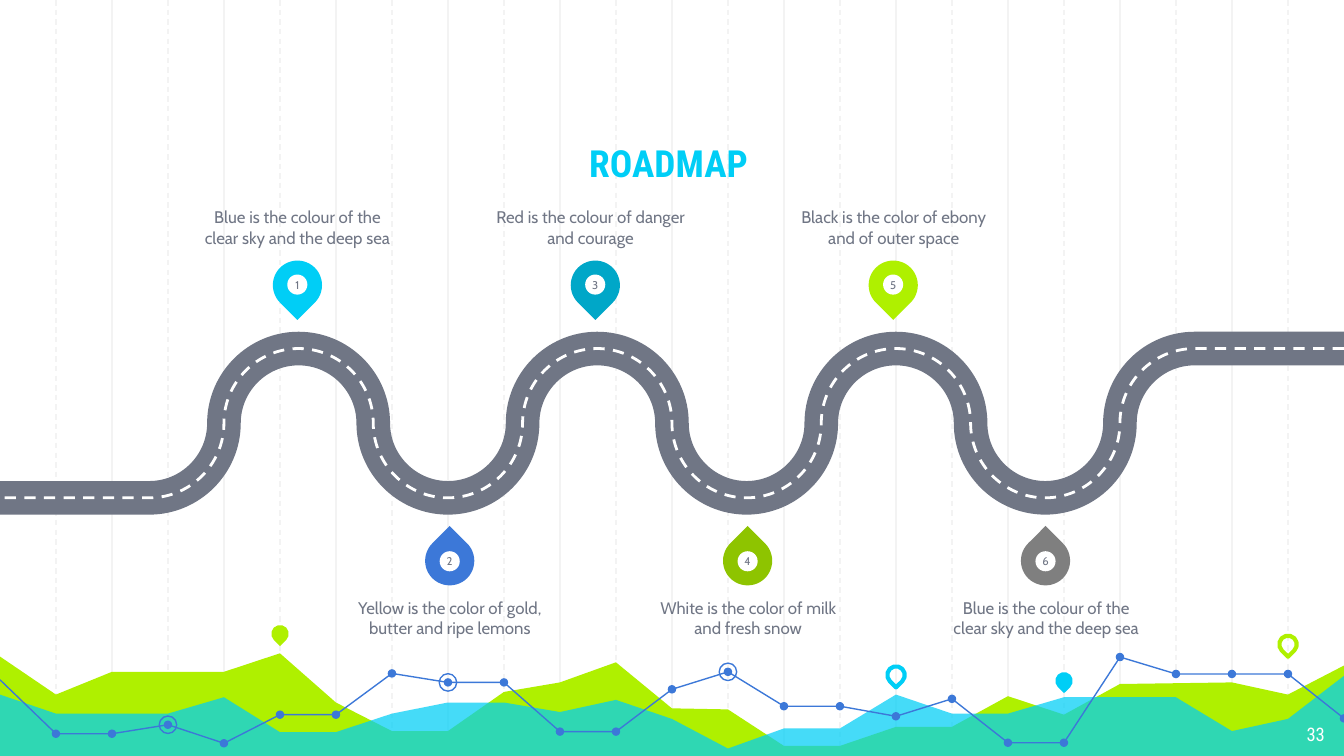
"""Builds the roadmap slide: a winding road with six numbered pins over a chart skyline."""
from lxml import etree
from pptx import Presentation
from pptx import util as u
from pptx.dml.color import RGBColor
from pptx.enum import dml, shapes, text
from pptx.oxml.ns import qn

C = {"cyan": "00CEF6", "teal": "00A7C8", "lime": "AFF000", "green": "8EC400",
     "blue": "3C78D8", "grey": "7F7F7F", "slate": "707685", "grid": "F3F3F3", "white": "FFFFFF"}
W, H = 25.4, 14.29
COLS = 24
BLEED = 0.06
STEPS = [
    ("Blue is the colour of the clear sky and the deep sea", "cyan", 3.83),
    ("Yellow is the color of gold, butter and ripe lemons", "blue", 6.71),
    ("Red is the colour of danger and courage", "teal", 9.37),
    ("White is the color of milk and fresh snow", "green", 12.35),
    ("Black is the color of ebony and of outer space", "lime", 15.1),
    ("Blue is the colour of the clear sky and the deep sea", "grey", 17.98),
]
LIME_HILLS = [12.37, 13.13, 12.7, None, 12.7, 12.35, 13.28, 13.82, 13.82, 13.08, 12.9, 12.52, 13.39,
              13.41, 14.1, 14.1, 13.74, 13.74, 13.16, 13.51, 12.93, None, 12.9, 13.13, 12.55]
CYAN_HILLS = [13.11, 13.49, None, 13.49, 13.18, 13.84, 13.84, 13.49, 13.28, 13.28, 13.46, 13.23, 13.59,
              14.15, 13.77, 13.77, 13.13, 13.49, 13.49, 13.18, None, 13.18, 13.82, 13.59, 12.73]
TREND = [12.85, 13.87, 13.87, 13.7, 14.05, 13.51, 13.51, 12.73, 12.9, 12.9, 13.83, 13.83, 13.03,
         12.7, 13.35, 13.35, 13.54, 13.21, 14.04, 14.04, 12.42, 12.74, 12.74, 12.74, 13.58]
TREND_PARTS = [(0, 11), (11, 20), (20, 24)]
RINGED = (3, 8, 13)
SMALL_PINS = [(5, 11.98, "lime", True), (16, 12.76, "cyan", False),
              (19, 12.87, "cyan", True), (23, 12.18, "lime", False)]


def rgb(name):
    """Return the palette colour with this name."""
    return RGBColor.from_string(C[name])


def paint(sp, fill=None, line=None, width=0.75, dash=False):
    """Set fill and outline of a shape and drop its shadow."""
    sp.shadow.inherit = False
    if fill:
        sp.fill.solid()
        sp.fill.fore_color.rgb = rgb(fill)
    else:
        sp.fill.background()
    if line:
        sp.line.color.rgb = rgb(line)
        sp.line.width = u.Pt(width)
        if dash:
            sp.line.dash_style = dml.MSO_LINE.DASH
    else:
        sp.line.fill.background()
    return sp


def write(sp, content, size=9, font="Cabin", color="slate", bold=False,
          align="CENTER", anchor="TOP", inset=0):
    """Put one formatted paragraph into a shape."""
    tf = sp.text_frame
    tf.word_wrap = True
    tf.auto_size = text.MSO_AUTO_SIZE.NONE
    tf.vertical_anchor = text.MSO_ANCHOR[anchor]
    tf.margin_left = tf.margin_right = tf.margin_top = tf.margin_bottom = u.Cm(inset)
    p = tf.paragraphs[0]
    p.alignment = text.PP_ALIGN[align]
    r = p.add_run()
    r.text = content
    r.font.size, r.font.name, r.font.bold = u.Pt(size), font, bold
    r.font.color.rgb = rgb(color)


def add_centred(parent, kind, x, y, size, rotation=0, **style):
    """Add a square preset shape around a centre point."""
    sp = parent.shapes.add_shape(kind, u.Cm(x - size / 2), u.Cm(y - size / 2), u.Cm(size), u.Cm(size))
    sp.rotation = rotation
    return paint(sp, **style)


def add_path(parent, points, close=False, **style):
    """Add a freeform through points given in centimetres."""
    pts = [(u.Cm(x), u.Cm(y)) for x, y in points]
    builder = parent.shapes.build_freeform(*pts[0])
    builder.add_line_segments(pts[1:], close=close)
    return paint(builder.convert_to_shape(), **style)


def round_bends(sp, bend=0.55):
    """Turn the slanted segments of a path into quarter circles."""
    nodes = sp.element.findall(".//" + qn("a:pt"))
    spots = [(int(n.get("x")), int(n.get("y"))) for n in nodes]
    for i in range(2, len(nodes) - 1):
        (x0, y0), (x1, y1) = spots[i - 1], spots[i]
        dx, dy = round(bend * (x1 - x0)), round(bend * (y1 - y0))
        controls = [(x0, y0 + dy), (x1 - dx, y1)] if i % 2 else [(x0 + dx, y0), (x1, y1 - dy)]
        segment = nodes[i].getparent()
        curve = etree.Element(qn("a:cubicBezTo"))
        for x, y in controls + [(x1, y1)]:
            etree.SubElement(curve, qn("a:pt"), x=str(x), y=str(y))
        segment.getparent().replace(segment, curve)


def add_grid(s, left, top, width, height):
    """Draw a group of alternating dashed and solid vertical guides."""
    group = s.shapes.add_group_shape()
    for i in [*range(2, COLS, 2), *range(1, COLS, 2)]:
        x = u.Cm(left + i * width / COLS)
        line = group.shapes.add_connector(shapes.MSO_CONNECTOR.STRAIGHT, x, u.Cm(top), x, u.Cm(top + height))
        line.line.color.rgb = rgb("grid")
        line.line.width = u.Pt(0.75)
        if i % 2:
            line.line.dash_style = dml.MSO_LINE.DASH
        etree.SubElement(line.element.spPr, qn("a:effectLst"))


def add_hills(s, xs, heights, bottom, color):
    """Draw one filled hill area down to the bottom edge."""
    ridge = [(x, y) for x, y in zip(xs, heights) if y is not None]
    return add_path(s, [*ridge, (xs[-1], bottom), (xs[0], bottom)], close=True, fill=color)


def add_skyline(s, left, width, bottom):
    """Draw the two hill areas, the trend line and the small pins."""
    xs = [left + i * width / COLS for i in range(COLS + 1)]
    edges = [xs[0] - BLEED, *xs[1:-1], xs[-1] + BLEED]
    add_hills(s, edges, LIME_HILLS, bottom, "lime")
    area = add_hills(s, edges, CYAN_HILLS, bottom, "cyan")
    color = area.element.spPr.find(qn("a:solidFill"))[0]
    etree.SubElement(color, qn("a:alpha"), val="73000")
    for i, y, color, solid in SMALL_PINS:
        style = {"fill": color} if solid else {"line": color, "width": 2.25}
        add_centred(s, shapes.MSO_SHAPE.TEAR, xs[i], y, 0.33, 135, **style)
    points = list(zip(xs, TREND))
    lines = s.shapes.add_group_shape()
    for first, last in TREND_PARTS:
        add_path(lines, points[first:last + 1], line="blue")
    dots = s.shapes.add_group_shape()
    for x, y in points[1:]:
        add_centred(dots, shapes.MSO_SHAPE.OVAL, x, y, 0.16, fill="blue")
    for i in RINGED:
        add_centred(s, shapes.MSO_SHAPE.OVAL, *points[i], 0.33, line="blue")


def move_to_layout(s):
    """Move the drawn backdrop from the slide to its layout."""
    backdrop = [sp for sp in s.shapes if not sp.is_placeholder]
    for sp in backdrop:
        s.slide_layout.shapes.element.append(sp.element)
    for number, tag in enumerate(s.slide_layout.shapes.element.iter(qn("p:cNvPr")), 1):
        tag.set("id", str(number))


def add_road(s, left, width, middle):
    """Draw the road as linked quarter circles, with its dashed centre line."""
    radius = width / 18
    levels = (-1, 0, 1, 0)
    points = [(left + width, middle - radius)]
    points += [(left + (16 - i) * radius, middle + levels[i % 4] * radius) for i in range(15)]
    points.append((left, middle + radius))
    for style in ({"line": "slate", "width": 18}, {"line": "white", "width": 1.5, "dash": True}):
        round_bends(add_path(s, points, **style))


def add_steps(s, left, pitch):
    """Place the numbered pins and captions above and below the bends."""
    for n, (caption, color, caption_left) in enumerate(STEPS):
        above = n % 2 == 0
        x = left + n // 2 * pitch + (0 if above else 2.88)
        y = 5.39 if above else 10.6
        pin = s.shapes.add_group_shape()
        add_centred(pin, shapes.MSO_SHAPE.TEAR, x, y, 0.93, 135 if above else 315, fill=color)
        badge = add_centred(pin, shapes.MSO_SHAPE.OVAL, x, y - 0.01 if above else y + 0.01, 0.38, fill="white")
        write(badge, str(n + 1), size=6, anchor="MIDDLE")
        box = s.shapes.add_textbox(u.Cm(caption_left), u.Cm(3.21 if above else 11.29), u.Cm(3.58), u.Cm(1.47))
        write(box, caption, anchor="BOTTOM" if above else "TOP")


def add_heading(s, left, top, width, height):
    """Fill and place the title placeholder."""
    title = s.shapes.title
    title.left, title.top, title.width, title.height = map(u.Cm, (left, top, width, height))
    write(title, "ROADMAP", size=20, font="Roboto Condensed", color="cyan", bold=True,
          anchor="BOTTOM", inset=0.25)


def add_page_number(s, left, top, width, height):
    """Add the page number in the corner."""
    box = s.shapes.add_textbox(*map(u.Cm, (left, top, width, height)))
    write(box, "33", size=10, font="Roboto Condensed", color="white", align="RIGHT", inset=0.25)


def main():
    """Build and save the slide."""
    prs = Presentation()
    prs.slide_width, prs.slide_height = u.Cm(W), u.Cm(H)
    s = prs.slides.add_slide(prs.slide_layouts[5])
    add_grid(s, 0, 0, W, 14.35)
    add_skyline(s, 0, W, 14.34)
    move_to_layout(s)
    add_heading(s, 2.92, 1.77, 19.43, 1.98)
    add_page_number(s, 23.77, 13.41, 1.52, 0.88)
    add_road(s, 0, W, 8)
    add_steps(s, 5.62, 5.63)
    prs.save("out.pptx")


if __name__ == "__main__":
    main()
